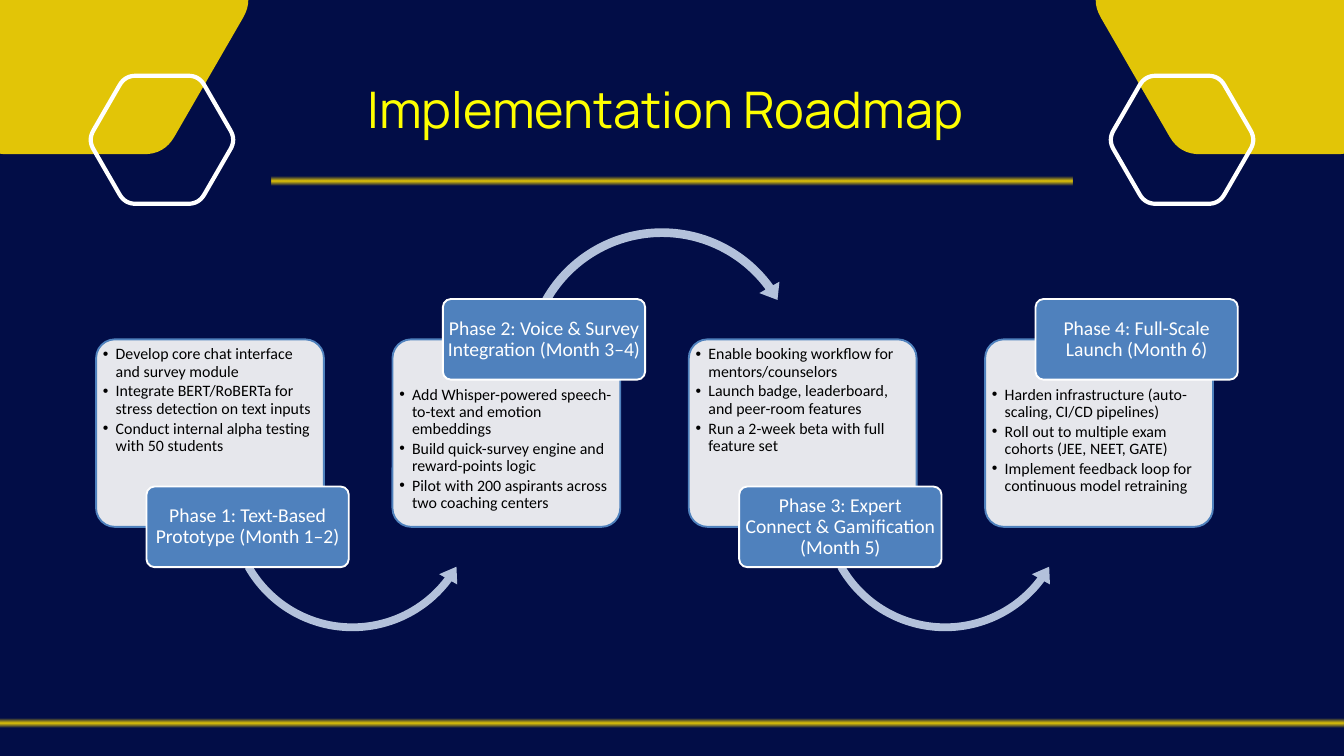
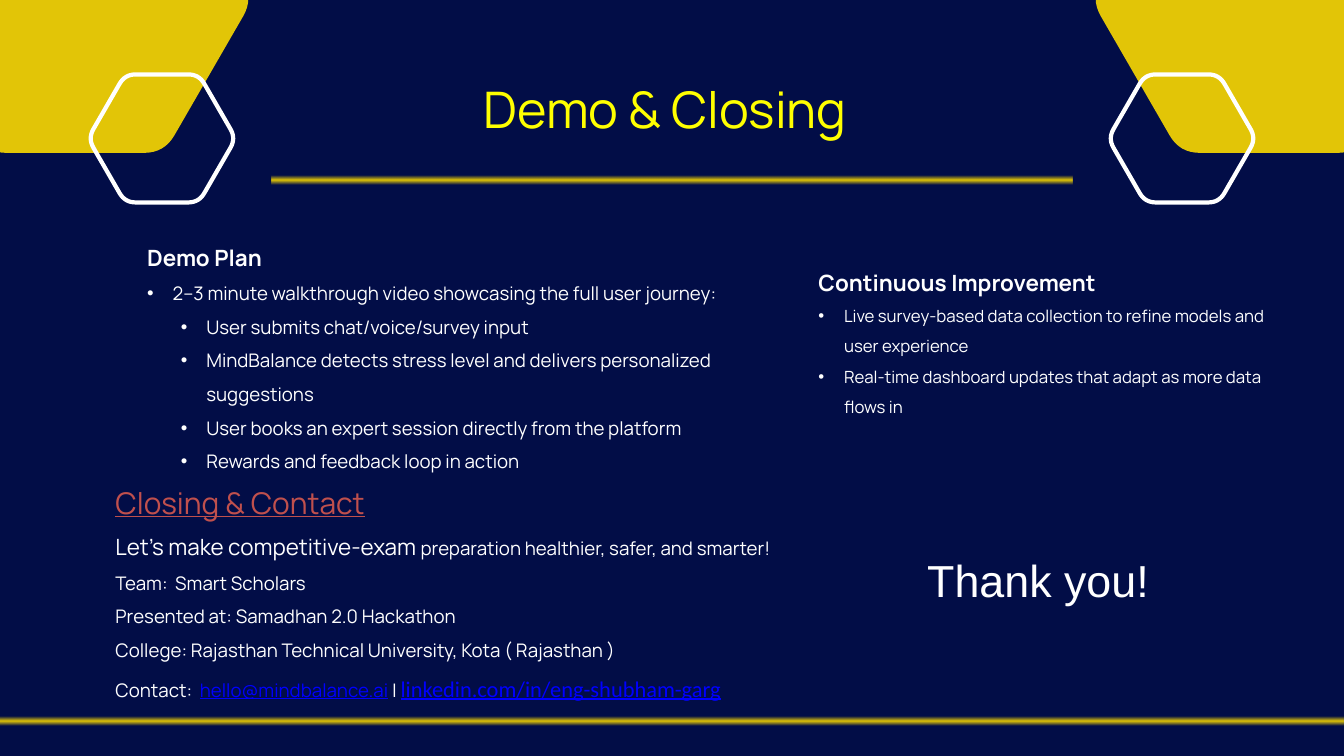
import math

from lxml import etree
from pptx import Presentation
from pptx.dml.color import RGBColor
from pptx.enum import shapes, text
from pptx.oxml import parse_xml
from pptx.oxml.ns import nsdecls, qn
from pptx.util import Inches, Pt

NAVY = RGBColor(0x02, 0x0D, 0x47)
GOLD = RGBColor(0xE2, 0xC5, 0x07)
YELLOW = RGBColor(0xFF, 0xFF, 0x00)
WHITE = RGBColor(0xFF, 0xFF, 0xFF)
BLACK = RGBColor(0x00, 0x00, 0x00)
BLUE = RGBColor(0x4F, 0x81, 0xBD)
PALE_BLUE = RGBColor(0xB3, 0xC1, 0xDB)
RED = RGBColor(0xC0, 0x50, 0x4D)
LINK_BLUE = RGBColor(0x00, 0x00, 0xFF)

HEAD_FONT, CARD_FONT, THANKS_FONT = "Manrope", "Calibri", "Arial"
SLIDE_W, SLIDE_H = 20, 11.25
SHAPE = shapes.MSO_SHAPE

PHASES = [
    ("Phase 1: Text-Based Prototype (Month 1–2)",
     ["Develop core chat interface and survey module",
      "Integrate BERT/RoBERTa for stress detection on text inputs",
      "Conduct internal alpha testing with 50 students"]),
    ("Phase 2: Voice & Survey Integration (Month 3–4)",
     ["Add Whisper-powered speech-to-text and emotion embeddings",
      "Build quick-survey engine and reward-points logic",
      "Pilot with 200 aspirants across two coaching centers"]),
    ("Phase 3: Expert Connect & Gamification (Month 5)",
     ["Enable booking workflow for mentors/counselors",
      "Launch badge, leaderboard, and peer-room features",
      "Run a 2-week beta with full feature set"]),
    ("Phase 4: Full-Scale Launch (Month 6)",
     ["Harden infrastructure (auto-scaling, CI/CD pipelines)",
      "Roll out to multiple exam cohorts (JEE, NEET, GATE)",
      "Implement feedback loop for continuous model retraining"]),
]

# List items as (level, text)
DEMO_PLAN = [
    (0, "2–3 minute walkthrough video showcasing the full user journey:"),
    (1, "User submits chat/voice/survey input"),
    (1, "MindBalance detects stress level and delivers personalized suggestions"),
    (1, "User books an expert session directly from the platform"),
    (1, "Rewards and feedback loop in action"),
]
IMPROVEMENT = [
    (0, "Live survey-based data collection to refine models and user experience"),
    (0, "Real-time dashboard updates that adapt as more data flows in"),
]

# Closing lines as runs of (text, size, colour, font, underline)
CLOSING = [
    [("Closing & Contact", 32, RED, HEAD_FONT, True)],
    [("Let’s make competitive-exam ", 24, WHITE, HEAD_FONT, False),
     ("preparation healthier, safer, and smarter!", 20, WHITE, HEAD_FONT, False)],
    [("Team:  Smart Scholars", 20, WHITE, HEAD_FONT, False)],
    [("Presented at: Samadhan 2.0 Hackathon", 20, WHITE, HEAD_FONT, False)],
    [("College: Rajasthan Technical University, Kota ( Rajasthan )",
      20, WHITE, HEAD_FONT, False)],
    [("Contact:  ", 20, WHITE, HEAD_FONT, False),
     ("hello@mindbalance.ai", 20, LINK_BLUE, HEAD_FONT, True),
     (" | ", 20, WHITE, HEAD_FONT, False),
     ("linkedin.com/in/eng-shubham-garg", 24, LINK_BLUE, CARD_FONT, True)],
]


# Text helpers
def add_run(p, words, size, color, font, bold=False, underline=False):
    r = p.add_run()
    r.text = words
    f = r.font
    f.size, f.name, f.bold, f.underline = Pt(size), font, bold, underline
    f.color.rgb = color


def next_paragraph(tf, first, spacing):
    p = tf.paragraphs[0] if first else tf.add_paragraph()
    p.line_spacing = spacing
    p.space_before = Pt(0)
    return p


def set_bullet(p, indent=0, hang=0, char=None):
    pPr = p._p.get_or_add_pPr()
    pPr.set("marL", str(Inches(indent)))
    pPr.set("indent", str(-Inches(hang)))
    if char:
        etree.SubElement(pPr, qn("a:buFont")).set("typeface", "Arial")
        etree.SubElement(pPr, qn("a:buChar")).set("char", char)
    else:
        etree.SubElement(pPr, qn("a:buNone"))


def set_frame(tf, margins=(0.1, 0.05, 0.1, 0.05), anchor=text.MSO_ANCHOR.TOP):
    tf.word_wrap = True
    tf.auto_size = text.MSO_AUTO_SIZE.NONE
    tf.vertical_anchor = anchor
    (tf.margin_left, tf.margin_top,
     tf.margin_right, tf.margin_bottom) = map(Inches, margins)


def move(sp, x, y, w, h):
    sp.left, sp.top, sp.width, sp.height = map(Inches, (x, y, w, h))


# Shape helpers
def add_solid(s, kind, x, y, w, h, fill, line=None, adjustments=()):
    sp = s.shapes.add_shape(kind, *map(Inches, (x, y, w, h)))
    sp.shadow.inherit = False
    sp.fill.solid()
    sp.fill.fore_color.rgb = fill
    if line:
        sp.line.color.rgb = line
        sp.line.width = Pt(2)
    else:
        sp.line.fill.background()
    for i, value in enumerate(adjustments):
        sp.adjustments[i] = value
    return sp


def add_hexagon(s, cx, cy, radius, cut):
    """Regular hexagon whose corners are rounded from `cut` before each vertex."""
    corners = [(cx + radius * math.cos(k * math.pi / 3),
                cy + radius * math.sin(k * math.pi / 3)) for k in range(6)]
    t = cut / radius
    points = []
    for k, (x, y) in enumerate(corners):
        (ax, ay), (bx, by) = corners[k - 1], corners[(k + 1) % 6]
        ax, ay = x + t * (ax - x), y + t * (ay - y)
        bx, by = x + t * (bx - x), y + t * (by - y)
        for step in range(9):
            u = step / 8
            a, c, b = (1 - u) ** 2, 2 * u * (1 - u), u ** 2
            points.append((Inches(a * ax + c * x + b * bx),
                           Inches(a * ay + c * y + b * by)))
    builder = s.shapes.build_freeform(*points[0])
    builder.add_line_segments(points[1:], close=True)
    sp = builder.convert_to_shape()
    sp.shadow.inherit = False
    return sp


def add_glow_bar(s, x, y, w, h=0.13):
    sp = add_solid(s, SHAPE.RECTANGLE, x, y, w, h, GOLD)
    stops = "".join(
        f'<a:gs pos="{pos}"><a:srgbClr val="{GOLD}"><a:alpha val="{alpha}"/>'
        "</a:srgbClr></a:gs>"
        for pos, alpha in ((0, 0), (50000, 100000), (100000, 0)))
    gradient = parse_xml(f'<a:gradFill {nsdecls("a")}><a:gsLst>{stops}</a:gsLst>'
                         '<a:lin ang="5400000" scaled="0"/></a:gradFill>')
    spPr = sp._element.spPr
    spPr.replace(spPr.find(qn("a:solidFill")), gradient)


# Parts shared by both slides
def add_decoration(s, y):
    for cx in (1.12, SLIDE_W - 1.12):
        sp = add_hexagon(s, cx, y, 2.65, 0.3)
        sp.fill.solid()
        sp.fill.fore_color.rgb = GOLD
        sp.line.fill.background()
    for cx in (2.41, SLIDE_W - 2.41):
        sp = add_hexagon(s, cx, y + 2.08, 1.1, 0.16)
        sp.fill.background()
        sp.line.color.rgb = WHITE
        sp.line.width = Pt(4.5)
    add_glow_bar(s, 4.04, y + 2.63, 11.92)
    add_glow_bar(s, 0, y + 10.69, SLIDE_W)


def add_title(s, words, y):
    sp = s.shapes.title
    move(sp, 3.69, y, 12.42, 0.92)
    set_frame(sp.text_frame, (0, 0, 0, 0))
    p = next_paragraph(sp.text_frame, True, Pt(68.1))
    p.alignment = text.PP_ALIGN.CENTER
    add_run(p, words, 54, YELLOW, HEAD_FONT)


# Roadmap
def add_card(s, x, y, items, label_on_top):
    sp = add_solid(s, SHAPE.ROUNDED_RECTANGLE, x, y, 3.39, 2.79, WHITE, BLUE, [0.1])
    color = sp._element.spPr.find(qn("a:solidFill"))[0]
    etree.SubElement(color, qn("a:alpha")).set("val", "90000")
    set_frame(sp.text_frame, (0.02, 0.62 if label_on_top else 0.02, 0.02, 0.02))
    for i, item in enumerate(items):
        p = next_paragraph(sp.text_frame, i == 0, 0.9)
        p.alignment = text.PP_ALIGN.LEFT
        p.space_after = Pt(3)
        set_bullet(p, 0.19, 0.19, "•")
        add_run(p, item, 17, BLACK, CARD_FONT)


def add_arrow(s, x, y, label_on_top):
    if label_on_top:
        add_solid(s, SHAPE.CIRCULAR_ARROW, x + 1.86, y - 1.76, 4.3, 4.3, PALE_BLUE,
                  adjustments=[0.03, 3.86, 194.39, 125.76, 0.04])
    else:
        add_solid(s, SHAPE.LEFT_CIRCULAR_ARROW, x + 1.88, y + 0.57, 3.87, 3.87,
                  PALE_BLUE, adjustments=[0.03, 4.33, 22.08, 90.25, 0.04])


def add_label(s, x, y, words):
    sp = add_solid(s, SHAPE.ROUNDED_RECTANGLE, x, y, 3.01, 1.2, BLUE, WHITE, [0.1])
    set_frame(sp.text_frame, (0.04, 0.03, 0.04, 0.03), text.MSO_ANCHOR.MIDDLE)
    p = next_paragraph(sp.text_frame, True, 0.9)
    p.alignment = text.PP_ALIGN.CENTER
    add_run(p, words, 21, WHITE, CARD_FONT)


def add_roadmap(s, x, y, pitch):
    for i, (label, items) in enumerate(PHASES):
        left, label_on_top = x + i * pitch, i % 2 == 1
        add_card(s, left, y, items, label_on_top)
        if i < len(PHASES) - 1:
            add_arrow(s, left, y, label_on_top)
        add_label(s, left + 0.75, y + (-0.6 if label_on_top else 2.19), label)


# Closing
def fill_list(sp, box, heading, items, size):
    move(sp, *box)
    tf = sp.text_frame
    set_frame(tf)
    p = next_paragraph(tf, True, 1.5)
    set_bullet(p)
    add_run(p, heading, 24, WHITE, HEAD_FONT, bold=True)
    for level, item in items:
        p = next_paragraph(tf, False, 1.5)
        p.level = level
        set_bullet(p, 0.38 + 0.5 * level, 0.38, "•")
        add_run(p, item, size, WHITE, HEAD_FONT)


def add_text_box(s, box, lines, spacing):
    tf = s.shapes.add_textbox(*map(Inches, box)).text_frame
    set_frame(tf)
    for i, runs in enumerate(lines):
        p = next_paragraph(tf, i == 0, spacing)
        for words, size, color, font, underline in runs:
            add_run(p, words, size, color, font, underline=underline)


def build_roadmap_slide(prs):
    s = prs.slides.add_slide(prs.slide_layouts[5])
    add_title(s, "Implementation Roadmap", 1.12)
    add_roadmap(s, 1.43, 5.05, 4.41)
    add_decoration(s, 0)


def build_closing_slide(prs):
    s = prs.slides.add_slide(prs.slide_layouts[3])
    add_title(s, "Demo & Closing", 1.11)
    add_decoration(s, -0.02)
    fill_list(s.placeholders[1], (2.09, 3.38, 9.74, 3.79), "Demo Plan", DEMO_PLAN, 20)
    fill_list(s.placeholders[2], (12.08, 3.75, 6.96, 2.48),
              "Continuous Improvement", IMPROVEMENT, 18)
    add_text_box(s, (1.62, 6.89, 11.47, 3.58), CLOSING, 1.5)
    add_text_box(s, (13.7, 8.18, 5.63, 0.91),
                 [[("Thank you!", 48, WHITE, THANKS_FONT, False)]], 1.0)


def main():
    prs = Presentation()
    prs.slide_width, prs.slide_height = Inches(SLIDE_W), Inches(SLIDE_H)
    background = prs.slide_master.background.fill
    background.solid()
    background.fore_color.rgb = NAVY
    build_roadmap_slide(prs)
    build_closing_slide(prs)
    prs.save("out.pptx")


if __name__ == "__main__":
    main()
